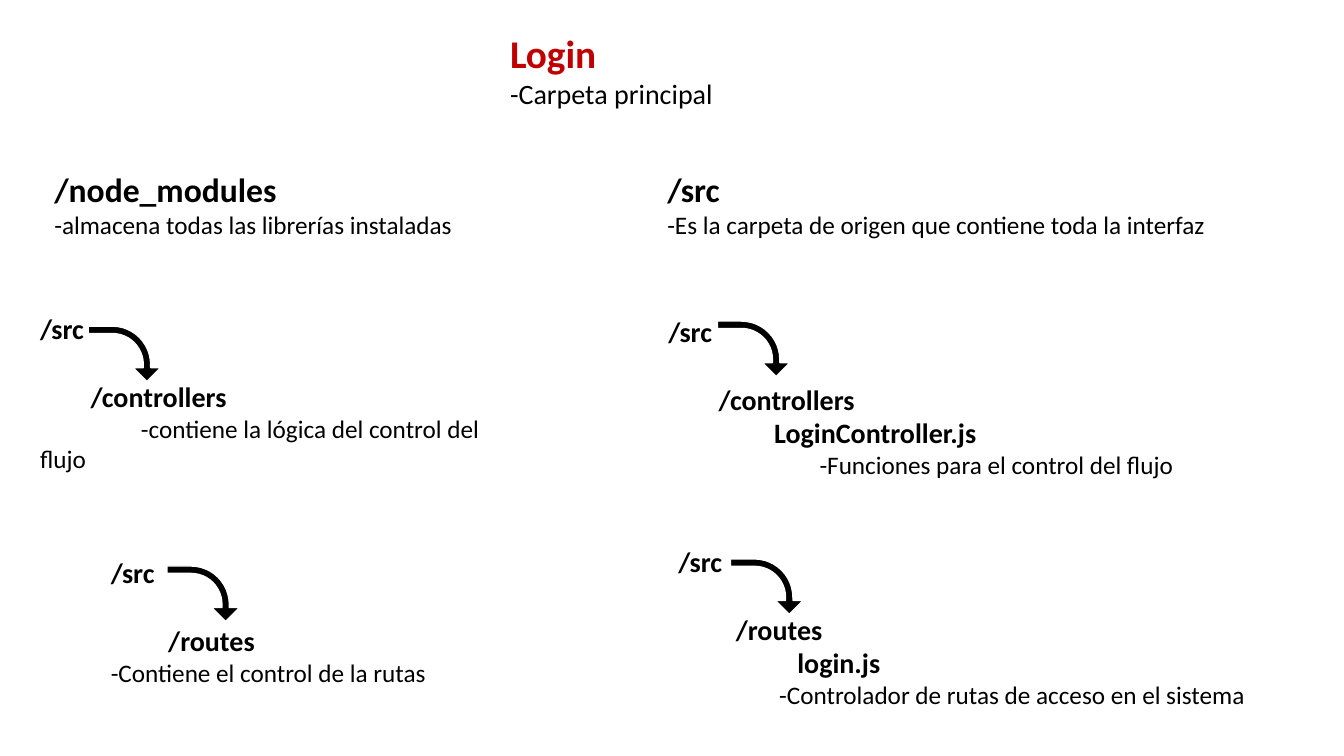
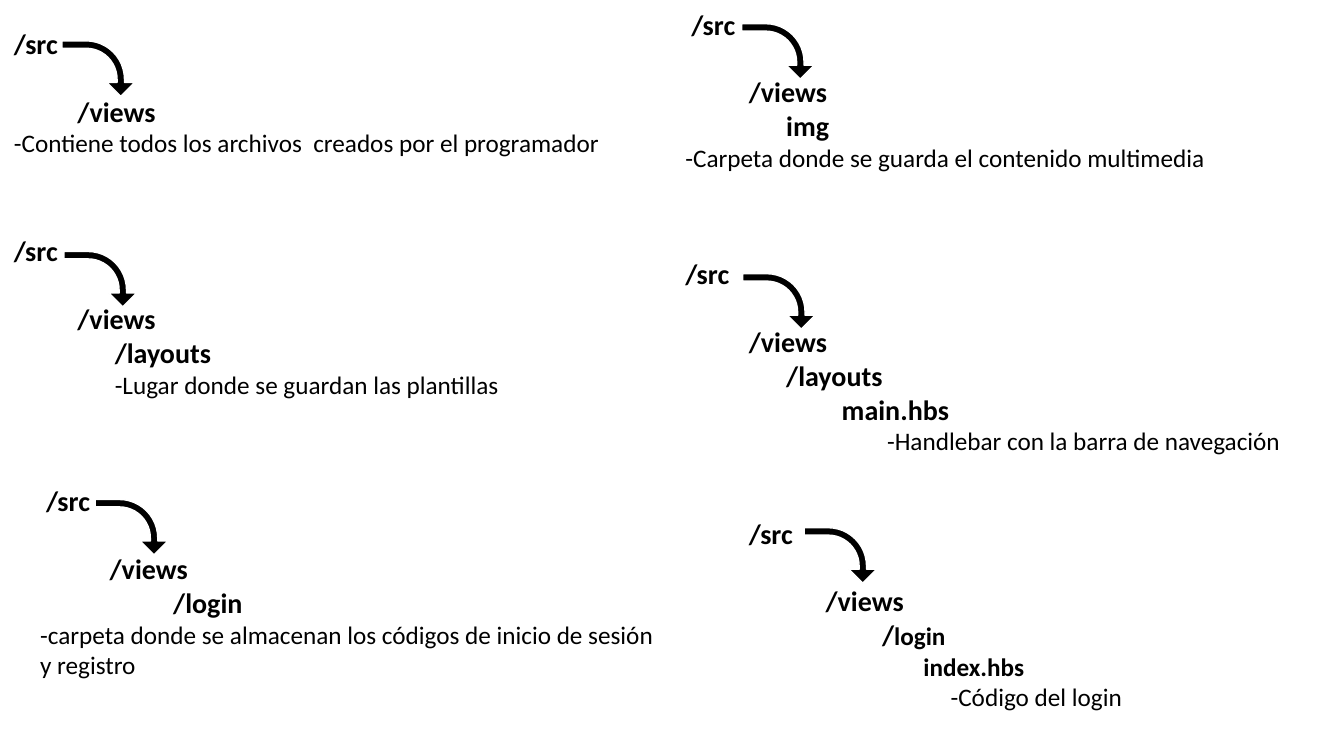
from dataclasses import dataclass

from pptx import Presentation, util as u
from pptx.dml.color import RGBColor
from pptx.enum import shapes, text
from pptx.slide import Slide
from pptx.text.text import TextFrame

FONT = "Calibri"
BLACK, RED, WHITE = "000000", "C00000", "FFFFFF"
ARROW_WIDTH, ARROW_HEIGHT = 0.55, 0.72
ARROW_ADJUSTMENTS = (0.134, 0.25, 0.25, 0.693)
ARROW_GAP = 0.34  # room for the arrow below the root folder


@dataclass(frozen=True)
class Piece:
    """A stretch of text in one style."""
    words: str
    size: int
    bold: bool = True
    color: str = BLACK


@dataclass(frozen=True)
class Line:
    """A paragraph: its pieces, left margin and extra first-line indent."""
    pieces: tuple[Piece, ...]
    margin: float = 0
    first: float = 0


@dataclass(frozen=True)
class Block:
    """A text box, with an arrow below its first line if one is placed."""
    left: float
    top: float
    width: float
    height: float
    lines: tuple[Line, ...]
    arrow: tuple[float, float] | None = None


def folder(words: str, margin: float, size: int = 20) -> Line:
    """Return a bold line naming a folder or file."""
    return Line((Piece(words, size),), margin)


def note(words: str, margin: float, first: float = 0, size: int = 18) -> Line:
    """Return a plain line that explains a folder or file."""
    return Line((Piece(words, size, False),), margin, first)


def rgb(color: str) -> RGBColor:
    """Turn a hex string into a colour."""
    return RGBColor.from_string(color)


def add_line(frame: TextFrame, line: Line, index: int, gap: float) -> None:
    """Write one line into the frame, run by run."""
    paragraph = frame.add_paragraph() if index else frame.paragraphs[0]
    properties = paragraph._p.get_or_add_pPr()
    properties.set("marL", str(u.Inches(line.margin)))
    properties.set("indent", str(u.Inches(line.first)))
    if gap:
        paragraph.space_before = u.Inches(gap)
    for piece in line.pieces:
        run = paragraph.add_run()
        run.text = piece.words
        run.font.name = FONT
        run.font.size = u.Pt(piece.size)
        run.font.bold = piece.bold
        run.font.color.rgb = rgb(piece.color)


def add_arrow(slide: Slide, left: float, top: float) -> None:
    """Draw the bent arrow that leads from a folder to its child."""
    shape = slide.shapes.add_shape(
        shapes.MSO_SHAPE.BENT_ARROW, u.Inches(left), u.Inches(top),
        u.Inches(ARROW_WIDTH), u.Inches(ARROW_HEIGHT))
    shape.rotation = 90
    for index, value in enumerate(ARROW_ADJUSTMENTS):
        shape.adjustments[index] = value
    shape.shadow.inherit = False
    shape.fill.solid()
    shape.fill.fore_color.rgb = rgb(BLACK)
    shape.line.color.rgb = rgb(WHITE)
    shape.line.width = u.Pt(1)


def add_block(slide: Slide, block: Block) -> None:
    """Draw a text box and its arrow."""
    box = slide.shapes.add_textbox(
        u.Inches(block.left), u.Inches(block.top),
        u.Inches(block.width), u.Inches(block.height))
    frame = box.text_frame
    frame.word_wrap = True
    frame.auto_size = text.MSO_AUTO_SIZE.SHAPE_TO_FIT_TEXT
    for index, line in enumerate(block.lines):
        gap = ARROW_GAP if block.arrow and index == 1 else 0
        add_line(frame, line, index, gap)
    if block.arrow:
        add_arrow(slide, *block.arrow)


MAIN_FOLDERS = (
    Block(4.96, 0.24, 2.38, 0.91, (
        Line((Piece("Login", 28, True, RED),)),
        note("-Carpeta principal", 0, size=20))),
    Block(-0.06, 1.63, 4.65, 0.81, (
        folder("/node_modules", 0.5, 24),
        note("-almacena todas las librerías instaladas", 0.5))),
    Block(6.02, 1.63, 6.14, 0.81, (
        folder("/src", 0.5, 24),
        note("-Es la carpeta de origen que contiene toda la interfaz", 0.5))),
    Block(-0.2, 3.04, 5.16, 1.72, (
        folder("/src", 0.5),
        folder("/controllers", 1),
        note("-contiene la lógica del control del flujo", 0.5, 1)),
        (0.96, 3.15)),
    Block(6.03, 3.07, 6, 1.75, (
        folder("/src", 0.5),
        folder("/controllers", 1),
        folder("LoginController.js", 1.55),
        note("-Funciones para el control del flujo", 2)),
        (7.2, 3.1)),
    Block(0, 5.46, 4.59, 1.41, (
        folder("/src", 1),
        folder("/routes", 1.57),
        note("-Contiene el control de la rutas", 1)),
        (1.74, 5.53)),
    Block(5.63, 5.35, 6.93, 1.75, (
        folder("/src", 1),
        folder("/routes", 1.57),
        folder("login.js", 2.18),
        note("-Controlador de rutas de acceso en el sistema", 2)),
        (7.33, 5.46)),
)

VIEW_FOLDERS = (
    Block(-0.96, 0.21, 7.32, 1.41, (
        folder("/src", 1),
        folder("/views", 1.63),
        note("-Contiene todos los archivos  creados por el programador", 1)),
        (0.7, 0.32)),
    Block(5.7, 0.02, 7.14, 1.75, (
        folder("/src", 1.06),
        folder("/views", 1.63),
        folder("img", 2),
        note("-Carpeta donde se guarda el contenido multimedia", 1)),
        (7.44, 0.15)),
    Block(-0.96, 2.27, 7.14, 1.75, (
        folder("/src", 1),
        folder("/views", 1.63),
        folder("/layouts", 2),
        note("-Lugar donde se guardan las plantillas", 2)),
        (0.72, 2.41)),
    Block(5.7, 2.5, 7.14, 2.09, (
        folder("/src", 1),
        folder("/views", 1.63),
        folder("/layouts", 2),
        folder("main.hbs", 2.55),
        note("-Handlebar con la barra de navegación", 3)),
        (7.45, 2.63)),
    Block(-1.7, 4.75, 8.37, 2.05, (
        folder("/src", 2.06),
        folder("/views", 2.69),
        folder("/login", 3.32),
        note("-carpeta donde se almacenan los códigos de inicio de sesión "
             "y registro", 2)),
        (1.03, 4.87)),
    Block(5.33, 5.07, 7.51, 2.05, (
        folder("/src", 2),
        folder("/views", 2.76),
        Line((Piece("/", 20), Piece("login", 18)), 3.32),
        folder("index.hbs", 3.73, 18),
        note("-Código del login", 4)),
        (8.06, 5.15)),
)


def main() -> None:
    """Build the presentation and save it."""
    presentation = Presentation()
    presentation.slide_width = u.Inches(13.33)
    presentation.slide_height = u.Inches(7.5)
    for blocks in (MAIN_FOLDERS, VIEW_FOLDERS):
        slide = presentation.slides.add_slide(presentation.slide_layouts[6])
        for block in blocks:
            add_block(slide, block)
    presentation.save("out.pptx")


main()
